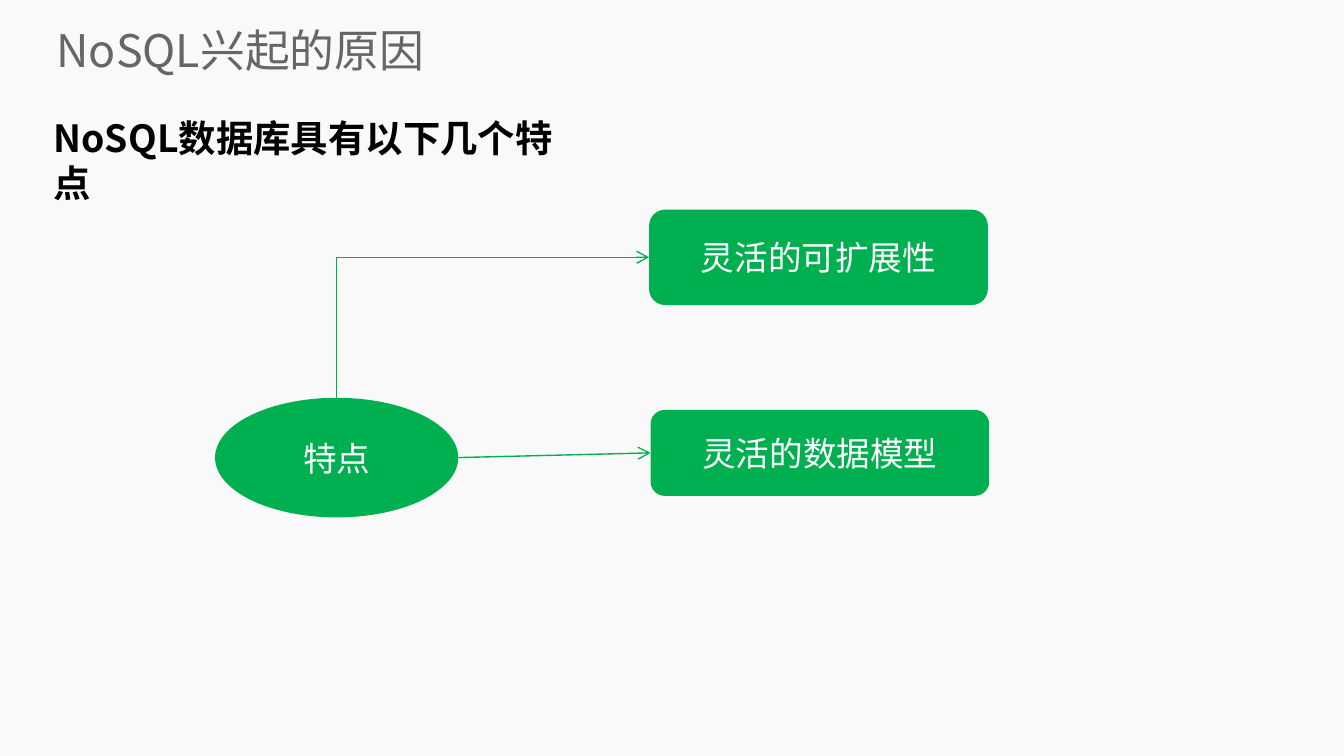
from lxml.etree import SubElement
from pptx import Presentation
from pptx.dml.color import RGBColor
from pptx.enum.shapes import MSO_CONNECTOR, MSO_SHAPE
from pptx.enum.text import MSO_ANCHOR, MSO_AUTO_SIZE, PP_ALIGN
from pptx.oxml.ns import qn
from pptx.util import Inches, Pt

# Content: places are left, top, width, height in inches
FONT = "Noto Sans CJK SC"
COLORS = {"page": "F9F9F9", "title": "666666", "heading": "000000",
          "node": "00B050", "label": "FFFFFF"}
TITLE = ("NoSQL兴起的原因", (0.42, 0.18, 9.43, 0.38))
HEADING = ("NoSQL数据库具有以下几个特点", (0.3, 0.81, 3.99, 0.44))
HUB = ("特点", (1.6, 2.96, 1.81, 0.89))
FEATURES = [("灵活的可扩展性", (4.83, 1.56, 2.52, 0.71)),
            ("灵活的数据模型", (4.84, 3.05, 2.52, 0.64))]
TITLE_STYLE = {"size": Pt(24), "bold": False}
HEADING_STYLE = {"size": Pt(20), "bold": True}
LABEL_STYLE = {"size": Pt(18), "bold": False}


def color(name):
    return RGBColor.from_string(COLORS[name])


def write(frame, text, style, color_name, align):
    paragraph = frame.paragraphs[0]
    paragraph.alignment = align
    run = paragraph.add_run()
    run.text = text
    for key, value in {"name": FONT, **style}.items():
        setattr(run.font, key, value)
    run.font.color.rgb = color(color_name)
    SubElement(run.font._element, qn("a:ea"), typeface=FONT)


def add_node(slide, preset, text, place):
    node = slide.shapes.add_shape(preset, *map(Inches, place))
    node.shadow.inherit = False
    node.fill.solid()
    node.fill.fore_color.rgb = color("node")
    node.line.fill.background()
    node.text_frame.vertical_anchor = MSO_ANCHOR.MIDDLE
    write(node.text_frame, text, LABEL_STYLE, "label", PP_ALIGN.CENTER)
    return node


def add_arrow(slide, start, end):
    arrow = slide.shapes.add_connector(MSO_CONNECTOR.STRAIGHT, *start, *end)
    arrow.line.color.rgb = color("node")
    arrow.line.width = Pt(0.75)
    SubElement(arrow.line._get_or_add_ln(), qn("a:tailEnd"), type="arrow")
    SubElement(arrow._element.spPr, qn("a:effectLst"))
    return arrow


def bend_up_then_right(arrow):
    """Turn a rising straight arrow into a one-corner elbow."""
    run, rise = arrow.width, arrow.height
    center_x, center_y = arrow.left + run // 2, arrow.top + rise // 2
    properties = arrow._element.spPr
    properties.find(qn("a:prstGeom")).set("prst", "bentConnector2")
    frame = properties.find(qn("a:xfrm"))
    for key, value in {"rot": "5400000", "flipH": "1", "flipV": "1"}.items():
        frame.set(key, value)
    # The frame is stored before its quarter turn
    arrow.left, arrow.top = center_x - rise // 2, center_y - run // 2
    arrow.width, arrow.height = rise, run


def main():
    # Widescreen page, 16 to 9
    deck = Presentation()
    deck.slide_width = Inches(10)
    deck.slide_height = deck.slide_width * 9 // 16
    slide = deck.slides.add_slide(deck.slide_layouts[5])
    slide.background.fill.solid()
    slide.background.fill.fore_color.rgb = color("page")

    # Title
    text, place = TITLE
    title = slide.shapes.title
    title.left, title.top, title.width, title.height = map(Inches, place)
    frame = title.text_frame
    for side in ("left", "top", "right", "bottom"):
        setattr(frame, f"margin_{side}", 0)
    frame.vertical_anchor = MSO_ANCHOR.MIDDLE
    write(frame, text, TITLE_STYLE, "title", PP_ALIGN.LEFT)

    # Hub and features
    hub = add_node(slide, MSO_SHAPE.OVAL, *HUB)
    features = [add_node(slide, MSO_SHAPE.ROUNDED_RECTANGLE, *feature)
                for feature in FEATURES]

    # Arrows from the hub's top and right to each feature's left side
    starts = [(hub.left + hub.width // 2, hub.top),
              (hub.left + hub.width, hub.top + hub.height // 2)]
    arrows = [add_arrow(slide, start,
                        (feature.left, feature.top + feature.height // 2))
              for start, feature in zip(starts, features)]
    bend_up_then_right(arrows[0])

    # Heading
    text, place = HEADING
    heading = slide.shapes.add_textbox(*map(Inches, place)).text_frame
    heading.word_wrap = True
    heading.auto_size = MSO_AUTO_SIZE.SHAPE_TO_FIT_TEXT
    write(heading, text, HEADING_STYLE, "heading", PP_ALIGN.LEFT)

    deck.save("out.pptx")


if __name__ == "__main__":
    main()
